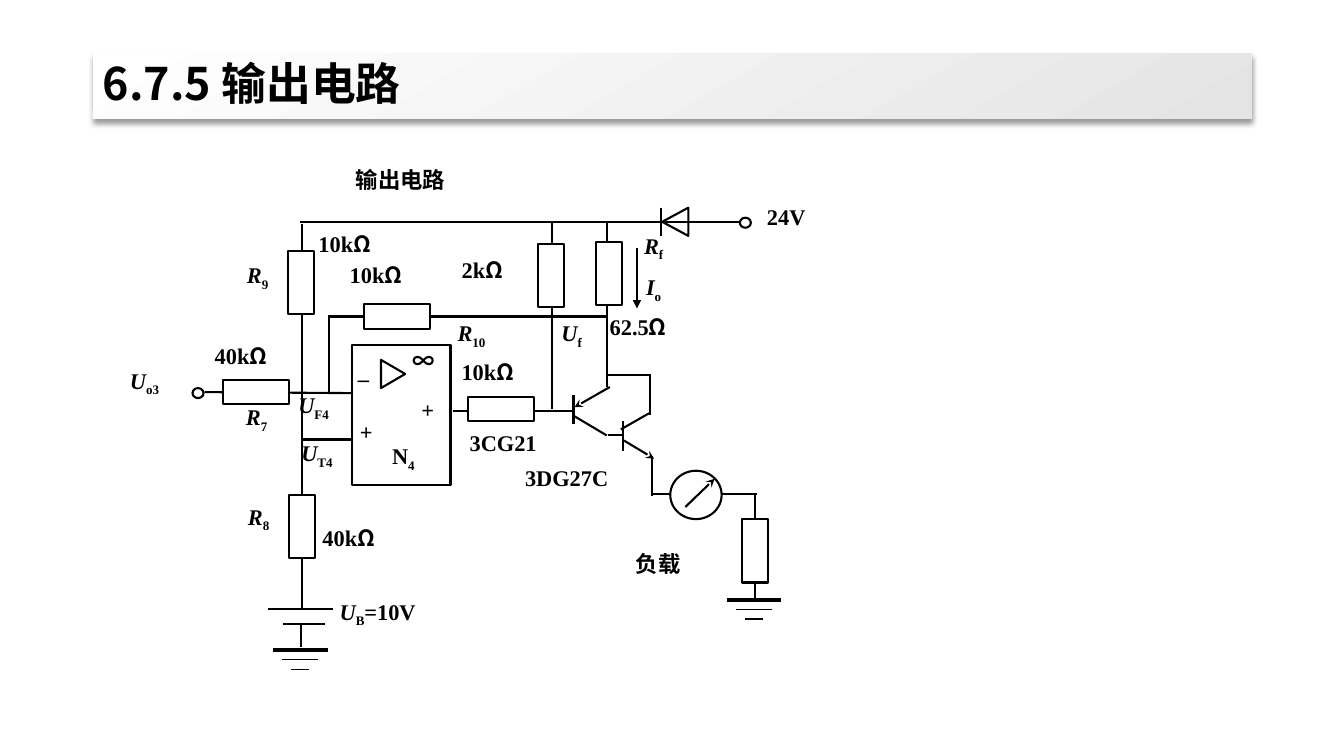
"""Build the slide on the output circuit of section 6.7.5."""
from dataclasses import dataclass

from lxml import etree
from pptx import Presentation
from pptx import util as u
from pptx.dml import color
from pptx.enum import shapes, text
from pptx.oxml import ns


@dataclass(frozen=True)
class Theme:
    """Colours, fonts and sizes of the slide."""
    ink: color.RGBColor = color.RGBColor(0, 0, 0)
    paper: color.RGBColor = color.RGBColor(255, 255, 255)
    band: color.RGBColor = color.RGBColor(0xE4, 0xE4, 0xE4)
    latin: str = "Times New Roman"
    chinese: str = "Noto Sans CJK SC"
    title_size: int = 32
    label_size: int = 16
    thin: float = 1
    wire: float = 1.5
    thick: float = 2.5


THEME = Theme()
CM_PER_GRID = 2.54

WIRES = [
    (4.49, 4.08, 5.69, 4.08), (2.03, 3.89, 3.5, 3.9), (3.26, 3.13, 3.26, 3.9),
    (3, 4.36, 3.5, 4.36), (7.49, 4.91, 7.49, 5.95), (6.18, 4.47, 6.18, 4.18),
    (6.18, 4.32, 6.03, 4.32), (6.16, 4.26, 6.44, 4.1), (5.69, 3.92, 5.69, 4.21),
    (5.7, 4.13, 6.02, 4.32), (3, 2.22, 3, 6.05), (3.3, 6.04, 2.66, 6.04),
    (3.22, 6.19, 2.81, 6.19), (2.99, 6.2, 2.99, 6.42), (6.02, 3.84, 6.02, 2.21),
    (5.48, 4.06, 5.48, 2.2), (3.26, 3.14, 6.03, 3.14), (6.45, 4.12, 6.45, 3.72),
    (6.46, 3.72, 6.03, 3.72), (6.47, 4.92, 6.47, 4.52), (6.47, 4.9, 7.51, 4.9),
    (6.56, 2.06, 6.56, 2.34), (2.98, 2.2, 7.33, 2.2),
]
ARROWS = [
    ((6.19, 4.37, 6.49, 4.55), "stealth"), ((6.05, 3.84, 5.7, 4.04), "stealth"),
    ((6.8, 5.03, 7.09, 4.75), "stealth"), ((6.32, 2.46, 6.32, 3.06), "triangle"),
]
UPRIGHT_RESISTORS = [(7.36, 5.15), (5.91, 2.4), (5.34, 2.42), (2.87, 4.91), (2.86, 2.49)]
FLAT_RESISTORS = [(2.21, 3.77), (4.64, 3.94), (3.61, 3.02)]
TERMINALS = [(7.34, 2.16), (1.91, 3.85)]
GROUNDS = [(7.48, 5.95), (2.98, 6.45)]

SYMBOLS = [
    ((1.29, 3.64, 0.67, 0.59), "U", "o3"), ((2.44, 4, 0.45, 0.43), "R", "7"),
    ((2.46, 4.99, 0.45, 0.43), "R", "8"), ((2.45, 2.59, 0.45, 0.43), "R", "9"),
    ((2.96, 3.88, 0.67, 0.57), "U", "F4"), ((5.57, 3.17, 0.41, 0.38), "U", "f"),
    ((6.39, 2.3, 0.41, 0.38), "R", "f"), ((6.41, 2.71, 0.41, 0.38), "I", "o"),
    ((4.54, 3.17, 0.6, 0.57), "R", "10"), ((2.99, 4.36, 1.17, 0.38), "U", "T4"),
]
RESISTANCES = [
    ((4.58, 2.54, 0.91, 0.49), "2k"), ((3.2, 5.2, 1.03, 0.34), "40k"),
    ((2.13, 3.39, 1.08, 0.5), "40k"), ((6.05, 3.11, 1.27, 0.51), "62.5"),
    ((3.16, 2.28, 1.03, 0.34), "10k"), ((3.47, 2.59, 1.03, 0.34), "10k"),
    ((4.58, 3.55, 1.03, 0.34), "10k"),
]
PLAIN_LABELS = [
    ((3.55, 3.54, 0.2, 0.48), "_"), ((3.57, 4.15, 0.16, 0.38), "+"),
    ((4.18, 3.93, 0.19, 0.38), "+"), ((6.31, 5.46, 0.72, 0.37), "负载"),
    ((4.66, 4.26, 1.11, 0.34), "3CG21"), ((5.21, 4.6, 1.36, 0.41), "3DG27C"),
    ((7.61, 2.02, 0.83, 0.83), "24V"), ((3.53, 1.65, 1.79, 0.52), "输出电路"),
]


def grid(*values):
    """Turn drawing units into lengths."""
    return [u.Cm(value * CM_PER_GRID) for value in values]


def set_font(font, name):
    """Set the Latin and the Chinese typeface."""
    font.name = name
    etree.SubElement(font._element, ns.qn("a:ea"), typeface=THEME.chinese)


def format_paragraph(paragraph, size, alignment):
    """Give a paragraph its size, weight, colour and alignment."""
    paragraph.alignment = alignment
    paragraph.font.size = u.Pt(size)
    paragraph.font.bold = True
    paragraph.font.color.rgb = THEME.ink


def format_title(title):
    """Place the title on its shaded band."""
    title.left, title.top, title.width, title.height = grid(0.92, 0.53, 11.5, 0.65)
    title.fill.gradient()
    title.fill.gradient_angle = 300
    for stop, shade in zip(title.fill.gradient_stops, (THEME.paper, THEME.band)):
        stop.color.rgb = shade
    title.shadow.inherit = False
    effects = title._element.spPr.find(ns.qn("a:effectLst"))
    shadow = etree.SubElement(effects, ns.qn("a:outerShdw"), blurRad=str(u.Pt(4)),
                              dist=str(u.Pt(3)), dir="5400000", rotWithShape="0")
    shade = etree.SubElement(shadow, ns.qn("a:srgbClr"), val=str(THEME.ink))
    etree.SubElement(shade, ns.qn("a:alpha"), val="40000")
    title.text_frame.text = "6.7.5 输出电路"
    title.text_frame.vertical_anchor = text.MSO_ANCHOR.MIDDLE
    paragraph = title.text_frame.paragraphs[0]
    paragraph.line_spacing = 0.9
    format_paragraph(paragraph, THEME.title_size, text.PP_ALIGN.LEFT)
    set_font(paragraph.font, THEME.chinese)


def add_wire(slide, ends, width=THEME.wire, arrowhead=None):
    """Draw a line, with an arrowhead at its end if one is named."""
    wire = slide.shapes.add_connector(shapes.MSO_CONNECTOR.STRAIGHT, *grid(*ends))
    wire.line.width = u.Pt(width)
    wire.line.color.rgb = THEME.ink
    if arrowhead:
        etree.SubElement(wire.line._get_or_add_ln(), ns.qn("a:tailEnd"), type=arrowhead)
    etree.SubElement(wire._element.spPr, ns.qn("a:effectLst"))


def add_part(slide, kind, box, rotation=0):
    """Draw a white outlined circuit part."""
    part = slide.shapes.add_shape(kind, *grid(*box))
    part.rotation = rotation
    part.shadow.inherit = False
    part.fill.solid()
    part.fill.fore_color.rgb = THEME.paper
    part.line.color.rgb = THEME.ink
    part.line.width = u.Pt(THEME.wire)


def add_ground(slide, center, top):
    """Draw the three bars of a ground sign."""
    bars = ((0.27, THEME.thick), (0.18, THEME.thin), (0.09, THEME.thin))
    for row, (half, width) in enumerate(bars):
        y = top + row * 0.095
        add_wire(slide, (center - half, y, center + half, y), width)


def add_label(slide, box, *parts):
    """Write a label from pairs of text and style."""
    frame = slide.shapes.add_textbox(*grid(*box)).text_frame
    frame.word_wrap = True
    frame.margin_left = frame.margin_top = frame.margin_right = frame.margin_bottom = 0
    paragraph = frame.paragraphs[0]
    format_paragraph(paragraph, THEME.label_size, text.PP_ALIGN.JUSTIFY)
    for words, style in parts:
        run = paragraph.add_run()
        run.text = words
        set_font(run.font, THEME.chinese if style == "sign" else THEME.latin)
        if style == "italic":
            run.font.italic = True
        if style == "subscript":
            run.font._element.set("baseline", "-25000")


def add_circuit(slide):
    """Draw the wires and parts of the circuit."""
    kinds = shapes.MSO_SHAPE
    add_part(slide, kinds.ISOSCELES_TRIANGLE, (6.56, 2.07, 0.28, 0.26), 270)
    for ends in WIRES:
        add_wire(slide, ends)
    for left, top in UPRIGHT_RESISTORS:
        add_part(slide, kinds.RECTANGLE, (left, top, 0.26, 0.63))
    for left, top in FLAT_RESISTORS:
        add_part(slide, kinds.RECTANGLE, (left, top, 0.66, 0.24))
    for left, top in TERMINALS:
        add_part(slide, kinds.OVAL, (left, top, 0.11, 0.1))
    add_part(slide, kinds.RECTANGLE, (3.49, 3.42, 0.98, 1.39))
    add_part(slide, kinds.ISOSCELES_TRIANGLE, (3.76, 3.59, 0.28, 0.24), 90)
    add_part(slide, kinds.OVAL, (6.65, 4.67, 0.51, 0.48))
    for ends, arrowhead in ARROWS:
        add_wire(slide, ends, arrowhead=arrowhead)
    for center, top in GROUNDS:
        add_ground(slide, center, top)


def add_labels(slide):
    """Write all labels of the circuit."""
    for box, symbol, index in SYMBOLS:
        add_label(slide, box, (symbol, "italic"), (index, "subscript"))
    for box, value in RESISTANCES:
        add_label(slide, box, (value, "plain"), ("Ω", "sign"))
    for box, words in PLAIN_LABELS:
        add_label(slide, box, (words, "plain"))
    add_label(slide, (4.09, 3.44, 0.32, 0.29), ("∞", "sign"))
    add_label(slide, (3.89, 4.39, 0.42, 0.44), ("N", "plain"), ("4", "subscript"))
    add_label(slide, (3.37, 5.93, 1.42, 0.6),
              ("U", "italic"), ("B", "subscript"), ("=10V", "plain"))


def main():
    """Build and save the presentation."""
    presentation = Presentation()
    presentation.slide_width, presentation.slide_height = u.Cm(33.87), u.Cm(19.05)
    slide = presentation.slides.add_slide(presentation.slide_layouts.get_by_name("Title Only"))
    format_title(slide.shapes.title)
    add_circuit(slide)
    add_labels(slide)
    presentation.save("out.pptx")


if __name__ == "__main__":
    main()
